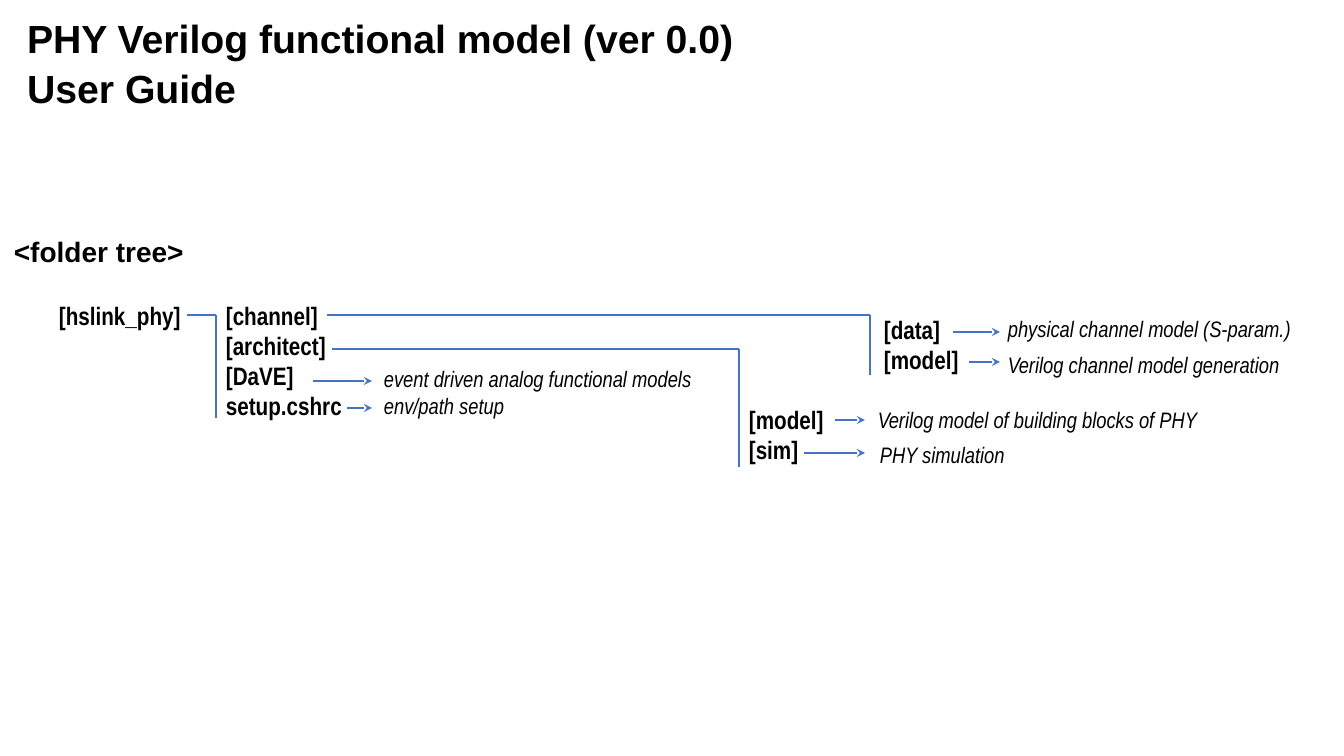
from pptx import Presentation
from pptx.dml.color import RGBColor
from pptx.enum.shapes import MSO_CONNECTOR
from pptx.enum.text import MSO_ANCHOR, MSO_AUTO_SIZE, PP_ALIGN
from pptx.oxml.ns import qn
from pptx.util import Pt
from lxml.etree import SubElement

COLORS = {"text": "000000", "line": "4472C4"}
EMU_PER_PIXEL = 914400 / 100.8


def px(value):
    return round(value * EMU_PER_PIXEL)


class FolderTreeSlide:
    heading_font = "Arial"
    tree_font = "Arial Narrow"

    def __init__(self, presentation):
        self.slide = presentation.slides.add_slide(presentation.slide_layouts[5])

    def fill_text(self, shape, lines, size, font, bold=False, italic=False, spacing=None):
        text_frame = shape.text_frame
        text_frame.text = "\n".join(lines)
        text_frame.vertical_anchor = MSO_ANCHOR.TOP
        for paragraph in text_frame.paragraphs:
            paragraph.alignment = PP_ALIGN.LEFT
            if spacing:
                paragraph.line_spacing = Pt(spacing)
            for run in paragraph.runs:
                run.font.name = font
                run.font.size = Pt(size)
                run.font.bold = bold
                run.font.italic = italic
                run.font.color.rgb = RGBColor.from_string(COLORS["text"])

    def title(self, lines, left, top, width, height):
        shape = self.slide.shapes.title
        shape.left, shape.top, shape.width, shape.height = map(px, (left, top, width, height))
        shape.text_frame.auto_size = MSO_AUTO_SIZE.NONE
        self.fill_text(shape, lines, 28, self.heading_font, bold=True, spacing=36)

    def text_box(self, lines, box, size, font, **style):
        shape = self.slide.shapes.add_textbox(*map(px, box))
        shape.text_frame.word_wrap = False
        shape.text_frame.auto_size = MSO_AUTO_SIZE.SHAPE_TO_FIT_TEXT
        self.fill_text(shape, lines, size, font, **style)

    def heading(self, text, *box):
        self.text_box([text], box, 20, self.heading_font, bold=True)

    def folders(self, names, *box):
        self.text_box(names, box, 18, self.tree_font, bold=True)

    def note(self, text, left, top, width):
        self.text_box([text], (left, top, width, 37), 16, self.tree_font, italic=True)

    def line(self, x1, y1, x2, y2, arrow=False):
        connector = self.slide.shapes.add_connector(
            MSO_CONNECTOR.STRAIGHT, px(x1), px(y1), px(x2), px(y2))
        connector.line.color.rgb = RGBColor.from_string(COLORS["line"])
        connector.line.width = Pt(2)
        if arrow:
            SubElement(connector.line._get_or_add_ln(), qn("a:tailEnd"), type="stealth")
        SubElement(connector._element.spPr, qn("a:effectLst"))

    def branch(self, left, top, right, bottom):
        self.line(left, top, right, top)
        self.line(right, top, right, bottom)


presentation = Presentation()
presentation.slide_width = px(1344)
presentation.slide_height = px(756)
tree = FolderTreeSlide(presentation)

tree.title(["PHY Verilog functional model (ver 0.0)", "User Guide"], 17, 6, 760, 113)
tree.heading("<folder tree>", 4, 230, 192, 44)

for names, left, top, width, height in [
    (["[hslink_phy]"], 49, 295, 143, 40),
    (["[channel]", "[architect]", "[DaVE]", "setup.cshrc"], 216, 295, 138, 132),
    (["[data]", "[model]"], 874, 309, 96, 72),
    (["[model]", "[sim]"], 739, 399, 96, 72),
]:
    tree.folders(names, left, top, width, height)

for left, top, right, bottom in [
    (187, 315, 216, 418),
    (327, 315, 870, 375),
    (332, 349, 739, 467),
]:
    tree.branch(left, top, right, bottom)

for text, left, top, width, arrow_start, arrow_end, arrow_y in [
    ("event driven analog functional models", 374, 360, 331, 313, 372, 381),
    ("env/path setup", 374, 387, 141, 347, 372, 408),
    ("physical channel model (S-param.)", 998, 310, 305, 953, 1000, 332),
    ("Verilog channel model generation", 998, 346, 294, 969, 1000, 362),
    ("Verilog model of building blocks of PHY", 868, 401, 352, 835, 865, 420),
    ("PHY simulation", 870, 436, 146, 804, 865, 453),
]:
    tree.note(text, left, top, width)
    tree.line(arrow_start, arrow_y, arrow_end, arrow_y, arrow=True)

presentation.save("out.pptx")
